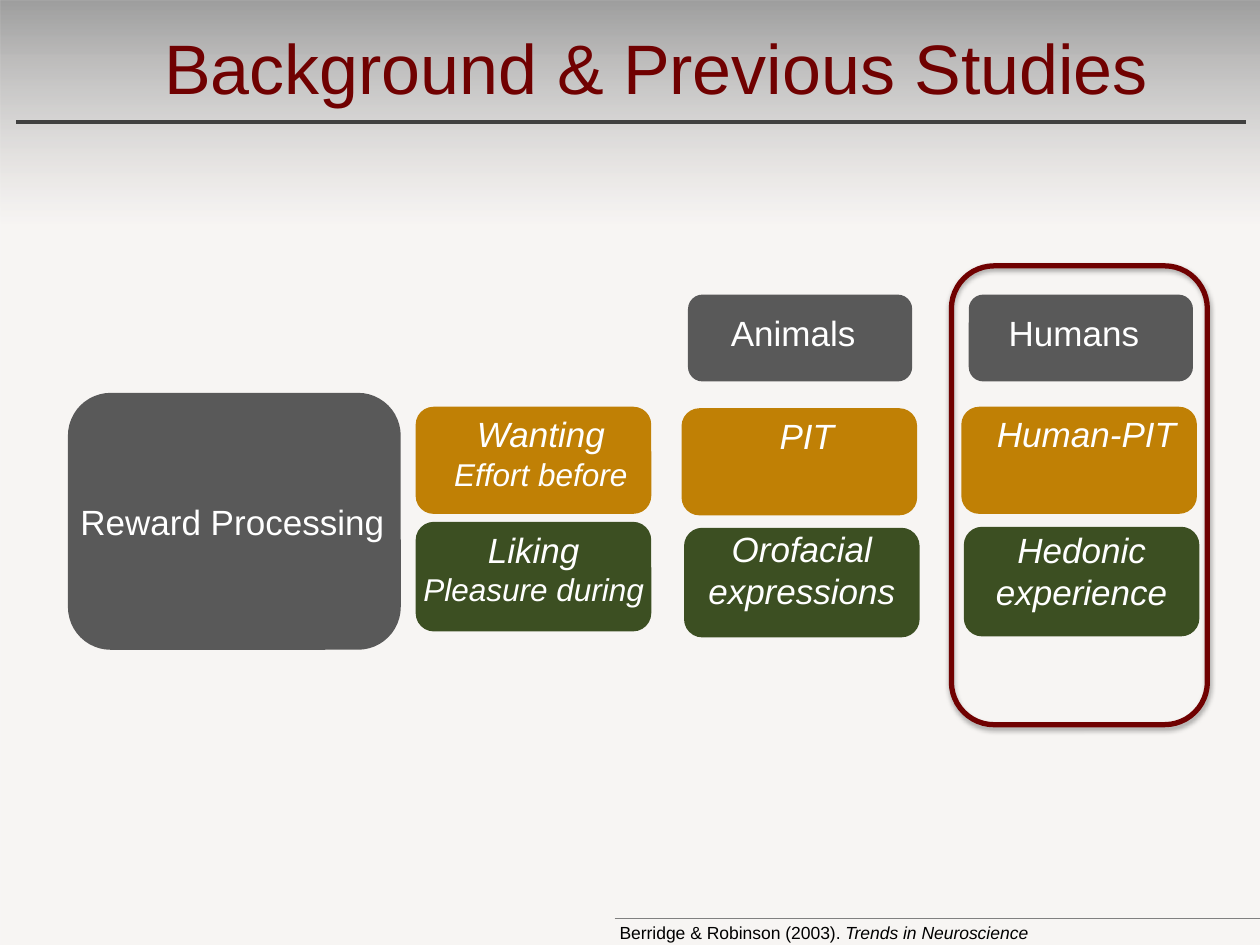
import pptx
import pptx.dml.color
import pptx.enum.dml
import pptx.enum.shapes
import pptx.enum.text
import pptx.oxml
import pptx.oxml.ns
import pptx.util
from lxml import etree
from pptx.util import Cm

COLOURS = {
    "maroon": "700101",
    "rule": "404040",
    "thin_rule": "808080",
    "grey": "595959",
    "gold": "C08005",
    "green": "3C4F22",
    "white": "FFFFFF",
    "black": "000000",
    "sand": "D9D0C9",
}
ALIGN = pptx.enum.text.PP_ALIGN
ROUNDED = pptx.enum.shapes.MSO_SHAPE.ROUNDED_RECTANGLE
qn = pptx.oxml.ns.qn


def colour(name):
    return pptx.dml.color.RGBColor.from_string(COLOURS[name])


def add_span(para, text, size=20, ink="white", italic=False):
    span = para.add_run()
    span.text = text
    span.font.name = "Arial"
    span.font.size = pptx.util.Pt(size)
    span.font.italic = italic
    span.font.color.rgb = colour(ink)


def prepare_frame(frame):
    frame.word_wrap = True
    frame.auto_size = pptx.enum.text.MSO_AUTO_SIZE.NONE
    frame.vertical_anchor = pptx.enum.text.MSO_ANCHOR.TOP


def add_rule(page, left, top, right, ink, width):
    rule = page.shapes.add_connector(
        pptx.enum.shapes.MSO_CONNECTOR.STRAIGHT, Cm(left), Cm(top), Cm(right), Cm(top))
    rule.line.color.rgb = colour(ink)
    rule.line.width = pptx.util.Pt(width)
    etree.SubElement(rule.element.spPr, qn("a:effectLst"))


def add_backdrop(page, width, height):
    """Translucent gradient, dark at the top, behind everything else."""
    backdrop = page.shapes.add_shape(
        pptx.enum.shapes.MSO_SHAPE.RECTANGLE, 0, 0, Cm(width), Cm(height))
    backdrop.shadow.inherit = False
    backdrop.line.fill.background()
    backdrop.fill.gradient()
    backdrop.fill.gradient_angle = 90
    stops = ((0.76, "sand", 20), (1, "black", 38))
    for stop, (position, ink, opacity) in zip(backdrop.fill.gradient_stops, stops):
        stop.position = position
        stop.color.rgb = colour(ink)
    tones = backdrop.element.spPr.iter(qn("a:srgbClr"))
    for tone, (position, ink, opacity) in zip(tones, stops):
        etree.SubElement(tone, qn("a:alpha"), val=str(opacity * 1000))
    page.shapes.element.insert(2, backdrop.element)


def add_heading(page, left, top, width, height):
    title = page.shapes.title
    title.left, title.top = Cm(left), Cm(top)
    title.width, title.height = Cm(width), Cm(height)
    prepare_frame(title.text_frame)
    para = title.text_frame.paragraphs[0]
    para.alignment = ALIGN.CENTER
    add_span(para, "Background & Previous Studies", size=40, ink="maroon")
    add_rule(page, 0.33, top + 2.1, 25.12, "rule", 2)


def add_card(page, left, top, width, height, fill, lines, text_box,
             italic=True, align=ALIGN.CENTER):
    """Rounded card; text_box is dx, dy, width, height from the card's corner."""
    group = page.shapes.add_group_shape()
    card = group.shapes.add_shape(ROUNDED, Cm(left), Cm(top), Cm(width), Cm(height))
    card.shadow.inherit = False
    card.fill.solid()
    card.fill.fore_color.rgb = colour(fill)
    card.line.fill.background()
    dx, dy, text_width, text_height = text_box
    box = group.shapes.add_textbox(
        Cm(left + dx), Cm(top + dy), Cm(text_width), Cm(text_height))
    prepare_frame(box.text_frame)
    for index, (text, size) in enumerate(lines):
        para = box.text_frame.paragraphs[0] if index == 0 else box.text_frame.add_paragraph()
        para.alignment = align
        add_span(para, text, size=size, italic=italic)


def add_highlight(page, left, top, width, height):
    """Outlined frame with a soft shadow around the human column."""
    frame = page.shapes.add_shape(ROUNDED, Cm(left), Cm(top), Cm(width), Cm(height))
    frame.fill.background()
    frame.line.color.rgb = colour("maroon")
    frame.line.width = pptx.util.Pt(3)
    frame.shadow.inherit = False
    effects = frame.element.spPr.find(qn("a:effectLst"))
    shadow = etree.SubElement(
        effects, qn("a:outerShdw"), blurRad=str(pptx.util.Pt(3.1)),
        dist=str(pptx.util.Pt(1.8)), dir="5400000", rotWithShape="0")
    tone = etree.SubElement(shadow, qn("a:srgbClr"), val=COLOURS["black"])
    etree.SubElement(tone, qn("a:alpha"), val="35000")


def add_diagram(page, left, top):
    # Overall process
    add_card(page, left, top, 6.71, 5.18, "grey", [("Reward Processing", 20)],
             (0, 2.04, 7.11, 1.12), italic=False, align=ALIGN.LEFT)

    # Wanting and liking: dx, dy, lines, text box
    gold_cards = (
        (7.01, 0.28, [("Wanting", 20), ("Effort before", 18)], (0, 0, 5.05, 1.88)),
        (12.37, 0.31, [("PIT", 20)], (0, 0, 5.05, 1.12)),
        (18.01, 0.28, [("Human-PIT", 20)], (0, 0, 5.05, 1.12)),
    )
    green_cards = (
        (7.01, 2.6, [("Liking", 20), ("Pleasure during", 18)], (-0.3, 0, 5.36, 1.88)),
        (12.42, 2.72, [("Orofacial expressions", 20)], (0, -0.13, 4.75, 1.96)),
        (18.06, 2.7, [("Hedonic experience", 20)], (0, -0.1, 4.75, 1.96)),
    )
    for fill, height, cards in (("gold", 2.16, gold_cards), ("green", 2.21, green_cards)):
        for dx, dy, lines, text_box in cards:
            add_card(page, left + dx, top + dy, 4.75, height, fill, lines, text_box)

    add_highlight(page, left + 17.81, top - 2.56, 5.16, 9.25)

    # Column headers
    for dx, text in ((18.16, "Humans"), (12.5, "Animals")):
        add_card(page, left + dx, top - 1.98, 4.52, 1.75, "grey", [(text, 20)],
                 (-0.28, 0.22, 4.8, 1.12), italic=False)


def add_citation(page, left, top, width, height):
    box = page.shapes.add_textbox(Cm(left), Cm(top), Cm(width), Cm(height))
    prepare_frame(box.text_frame)
    para = box.text_frame.paragraphs[0]
    add_span(para, "Berridge & Robinson (2003). ", size=10, ink="black")
    add_span(para, "Trends in Neuroscience", size=10, ink="black", italic=True)
    add_rule(page, left + 0.15, top + 0.05, 25.4, "thin_rule", 0.25)


def main():
    deck = pptx.Presentation()
    deck.slide_width, deck.slide_height = Cm(25.4), Cm(19.05)
    page = deck.slides.add_slide(deck.slide_layouts[5])
    add_backdrop(page, 25.4, 19.05)
    add_heading(page, 2.11, 0.36, 22.23, 1.96)
    add_diagram(page, 1.37, 7.92)
    add_citation(page, 12.24, 18.47, 12.4, 0.69)
    deck.save("out.pptx")


if __name__ == "__main__":
    main()
